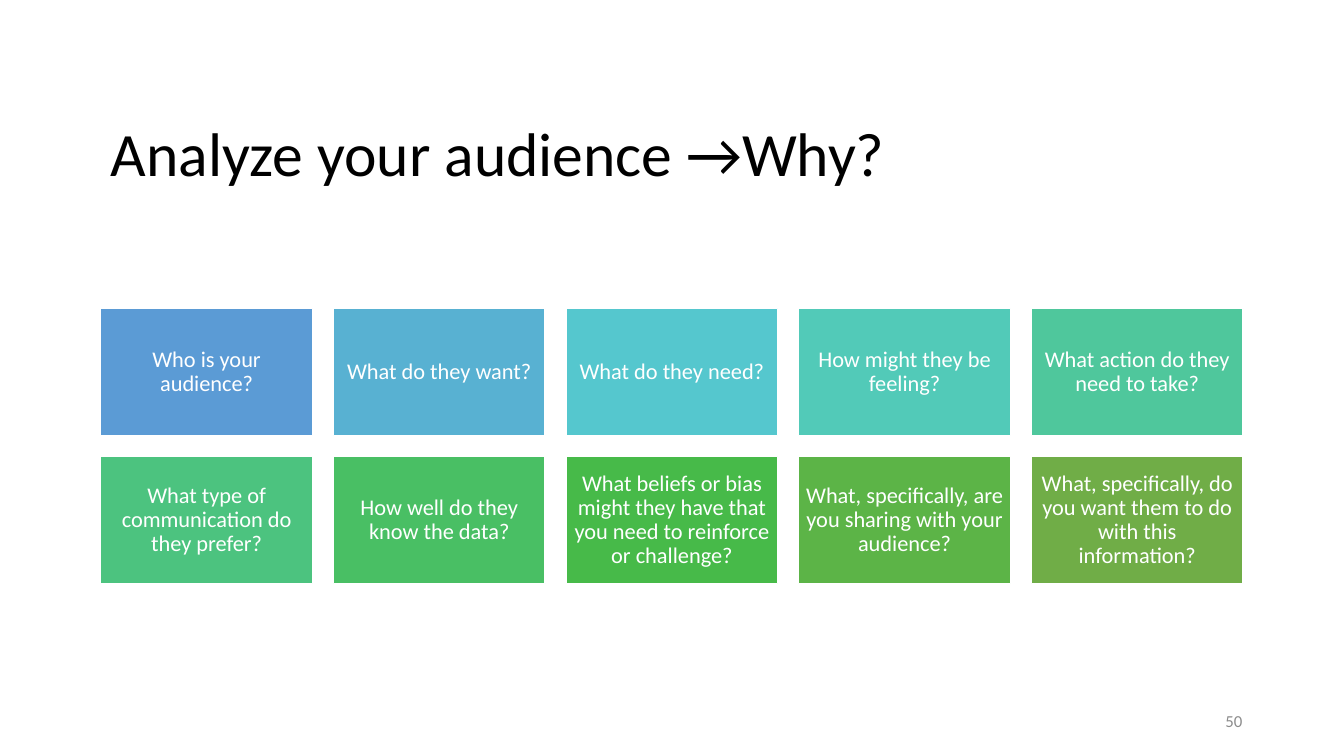
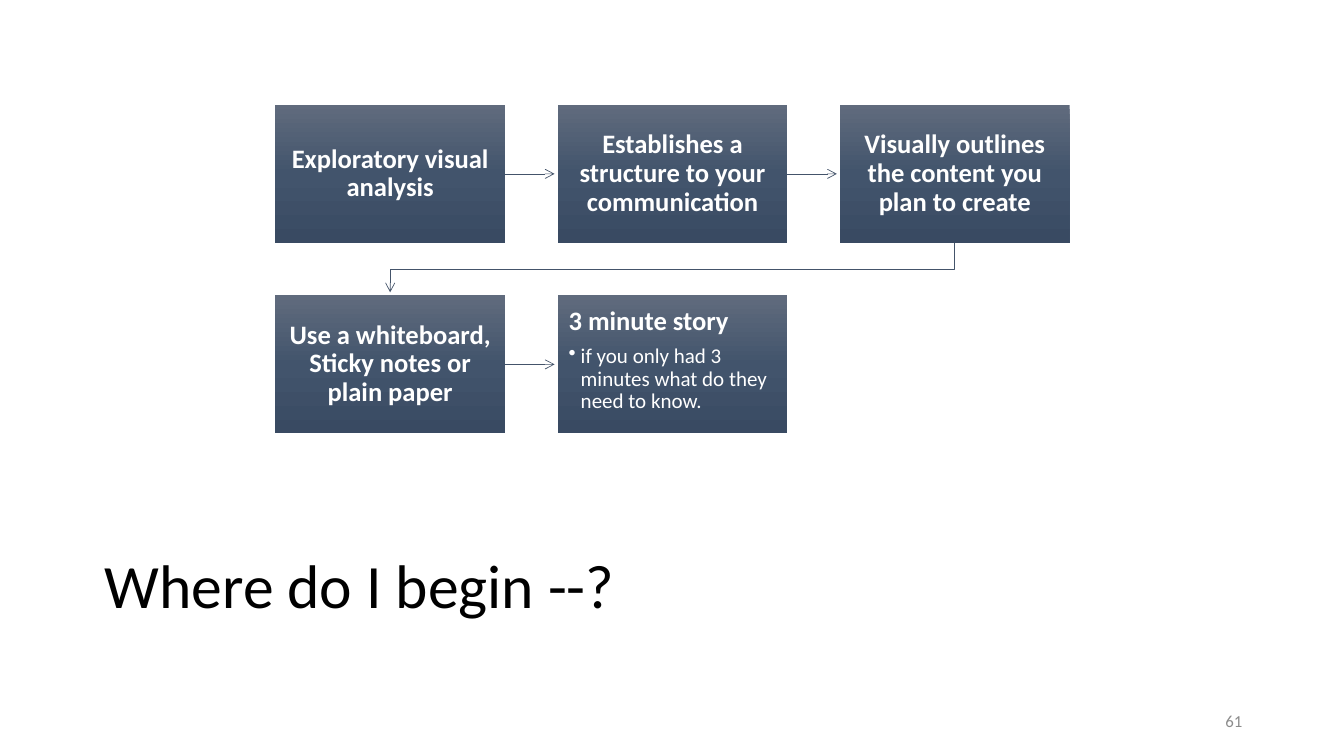
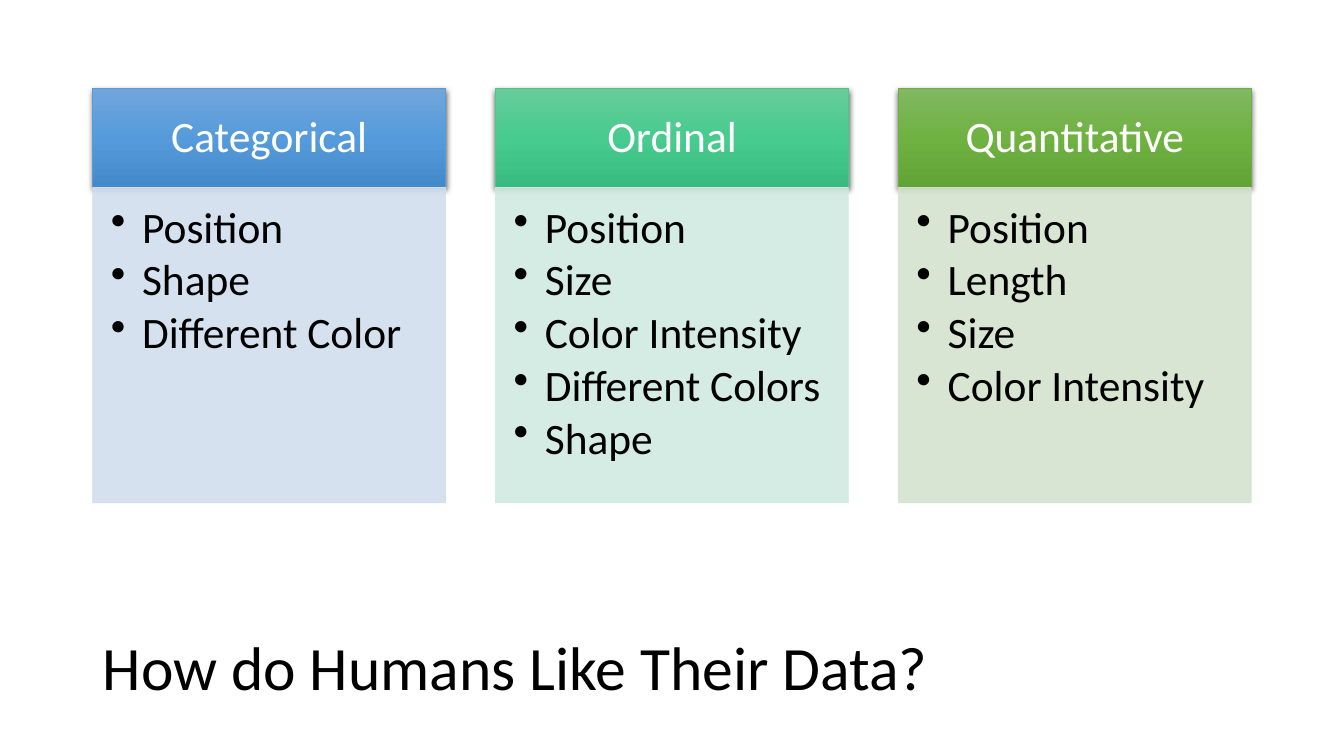
from lxml.etree import SubElement
from pptx import Presentation
from pptx.dml.color import RGBColor
from pptx.enum.shapes import MSO_CONNECTOR, MSO_SHAPE
from pptx.enum.text import MSO_ANCHOR as Anchor, PP_ALIGN as Align
from pptx.oxml.ns import qn
from pptx.util import Pt

SCALE = 9144  # EMU per px, 100 px to the inch
SLIDE_SIZE = (1333, 750)
FONT = "Calibri"
COLORS = {
    "black": "000000", "white": "FFFFFF", "number": "8C8C8C", "arrow": "44546A",
}

# Content: slide 1
AUDIENCE_TITLE = "Analyze your audience →Why?"
QUESTIONS = [
    ("Who is your audience?", "5B9BD5"),
    ("What do they want?", "58B1D2"),
    ("What do they need?", "55C7CE"),
    ("How might they be feeling?", "52CAB8"),
    ("What action do they need to take?", "4FC79C"),
    ("What type of communication do they prefer?", "4CC37F"),
    ("How well do they know the data?", "49BF64"),
    ("What beliefs or bias might they have that you need to reinforce or challenge?",
     "47BA49"),
    ("What, specifically, are you sharing with your audience?", "5CB447"),
    ("What, specifically, do you want them to do with this information?", "70AD47"),
]

# Content: slide 2
BEGIN_TITLE = "Where do I begin --?"
STEP_GRADIENT = ("606B7D", "42546C", "394A62")
STEPS = [
    ("Exploratory visual analysis", None),
    ("Establishes a structure to your communication", None),
    ("Visually outlines the content you plan to create", None),
    ("Use a whiteboard, Sticky notes or plain paper", None),
    ("3 minute story", "if you only had 3 minutes what do they need to know."),
]

# Content: slide 3
DATA_TITLE = "How do Humans Like Their Data?"
DATA_TYPES = [
    {"name": "Categorical", "gradient": ("71A6DB", "559BDB", "448ACA"),
     "line": "5B9BD5", "body": "D2DEEF",
     "items": ["Position", "Shape", "Different Color"]},
    {"name": "Ordinal", "gradient": ("67CC9A", "47CB8E", "39BB7F"),
     "line": "4DC58D", "body": "D0EAE1",
     "items": ["Position", "Size", "Color Intensity", "Different Colors", "Shape"]},
    {"name": "Quantitative", "gradient": ("81B861", "6FB242", "62A336"),
     "line": "70AD47", "body": "D5E3CF",
     "items": ["Position", "Length", "Size", "Color Intensity"]},
]


def px(value):
    return round(value * SCALE)


def rgb(color):
    return RGBColor.from_string(COLORS.get(color, color))


def add_text(shape, text, size, color="white", bold=False, align=Align.LEFT,
             line_spacing=0.9, space_after=0, bullet_indent=0):
    """Fill the first empty paragraph of the shape, or append one."""
    frame = shape.text_frame
    paragraph = frame.paragraphs[0] if not frame.text else frame.add_paragraph()
    if bullet_indent:
        properties = paragraph._p.get_or_add_pPr()
        properties.set("marL", str(px(bullet_indent)))
        properties.set("indent", str(-px(bullet_indent)))
        SubElement(properties, qn("a:buChar")).set("char", "•")
    paragraph.alignment = align
    paragraph.line_spacing = line_spacing
    paragraph.space_after = Pt(space_after)
    run = paragraph.add_run()
    run.text = text
    run.font.name = FONT
    run.font.size = Pt(size)
    run.font.bold = bold
    run.font.color.rgb = rgb(color)


def set_frame(shape, anchor=Anchor.MIDDLE, insets=(10, 5, 10, 5)):
    frame = shape.text_frame
    frame.word_wrap = True
    frame.vertical_anchor = anchor
    (frame.margin_left, frame.margin_top,
     frame.margin_right, frame.margin_bottom) = map(px, insets)


def add_text_box(slide, box, text, size, **text_format):
    shape = slide.shapes.add_textbox(*map(px, box))
    set_frame(shape)
    add_text(shape, text, size, **text_format)


def add_title(slide, box, text):
    add_text_box(slide, box, text, 44, color="black")


def add_slide_number(slide, number):
    add_text_box(slide, (942, 695, 300, 40), number, 12, color="number",
                 align=Align.RIGHT, line_spacing=1.0)


def add_box(slide, box, fill, line=None, line_width=0.5, **frame_format):
    """Add a rectangle; fill is one colour or a tuple of gradient colours."""
    shape = slide.shapes.add_shape(MSO_SHAPE.RECTANGLE, *map(px, box))
    shape.shadow.inherit = False
    if isinstance(fill, tuple):
        shape.fill.gradient()
        shape.fill.gradient_angle = 270
        stops = next(shape._element.spPr.iter(qn("a:gsLst")))
        stops.clear()
        for index, color in enumerate(fill):
            stop = SubElement(stops, qn("a:gs"))
            stop.set("pos", str(100000 * index // (len(fill) - 1)))
            SubElement(stop, qn("a:srgbClr")).set("val", color)
    else:
        shape.fill.solid()
        shape.fill.fore_color.rgb = rgb(fill)
    if line:
        shape.line.color.rgb = rgb(line)
        shape.line.width = Pt(line_width)
    else:
        shape.line.fill.background()
    set_frame(shape, **frame_format)
    return shape


def set_opacity(shape, percent):
    for color in shape._element.spPr.iter(qn("a:srgbClr")):
        SubElement(color, qn("a:alpha")).set("val", str(percent * 1000))


def add_drop_shadow(shape):
    effects = shape._element.spPr.find(qn("a:effectLst"))
    shadow = SubElement(effects, qn("a:outerShdw"))
    for name, value in (("blurRad", Pt(4.5)), ("dist", Pt(1.5)),
                        ("dir", 5400000), ("rotWithShape", 0)):
        shadow.set(name, str(int(value)))
    color = SubElement(shadow, qn("a:srgbClr"))
    color.set("val", COLORS["black"])
    SubElement(color, qn("a:alpha")).set("val", "63000")


def add_arrow(slide, points):
    """Two points give a straight connector, more give a bent open path."""
    points = [(px(x), px(y)) for x, y in points]
    if len(points) == 2:
        arrow = slide.shapes.add_connector(MSO_CONNECTOR.STRAIGHT, *points[0], *points[1])
    else:
        builder = slide.shapes.build_freeform(*points[0])
        builder.add_line_segments(points[1:], close=False)
        arrow = builder.convert_to_shape()
        arrow.fill.background()
    arrow.line.color.rgb = rgb("arrow")
    arrow.line.width = Pt(0.5)
    SubElement(arrow.line._get_or_add_ln(), qn("a:tailEnd")).set("type", "arrow")
    SubElement(arrow._element.spPr, qn("a:effectLst"))


def build_audience(slide):
    add_title(slide, (100, 68, 1133, 175), AUDIENCE_TITLE)
    columns, left, right, width, height = 5, 100, 1233, 210, 126
    pitch = (right - left - width) / (columns - 1)
    for index, (question, color) in enumerate(QUESTIONS):
        row, column = divmod(index, columns)
        box = (left + column * pitch, 306 + row * 147, width, height)
        shape = add_box(slide, box, color, "white", 1, insets=(7, 7, 7, 7))
        add_text(shape, question, 16, align=Align.CENTER)
    add_slide_number(slide, "50")


def build_begin(slide):
    add_title(slide, (94, 542, 1133, 83), BEGIN_TITLE)
    columns, width, height, gap = 3, 228, 137, 52
    reach = gap - 3  # arrows stop just short of the next box
    for index, (heading, detail) in enumerate(STEPS):
        row, column = divmod(index, columns)
        left, top = 273 + column * (width + gap), 104 + row * (height + gap)
        # Arrow to the next step
        if index < len(STEPS) - 1:
            right, middle = left + width, top + height / 2
            if column < columns - 1:
                add_arrow(slide, [(right, middle), (right + reach, middle)])
            else:
                start, end = left + width / 2, 273 + width / 2
                bottom = top + height
                turn = bottom + gap / 2
                add_arrow(slide, [(start, bottom), (start, turn),
                                  (end, turn), (end, bottom + reach)])
        # Step box
        shape = add_box(slide, (left, top, width, height), STEP_GRADIENT,
                        anchor=Anchor.TOP if detail else Anchor.MIDDLE,
                        insets=(11, 12, 11, 12))
        add_text(shape, heading, 19, bold=True,
                 align=Align.LEFT if detail else Align.CENTER,
                 space_after=6.6 if detail else 0)
        if detail:
            add_text(shape, detail, 15, bullet_indent=12)
    add_slide_number(slide, "61")


def build_data_types(slide):
    add_title(slide, (92, 605, 844, 120), DATA_TITLE)
    left, right, width, top, header_height = 92, 1241, 350, 88, 98
    pitch = (right - left - width) / (len(DATA_TYPES) - 1)
    for index, data_type in enumerate(DATA_TYPES):
        x = left + index * pitch
        header = add_box(slide, (x, top, width, header_height), data_type["gradient"],
                         data_type["line"], insets=(24, 14, 24, 14))
        add_drop_shadow(header)
        add_text(header, data_type["name"], 31, align=Align.CENTER)
        body = add_box(slide, (x, top + header_height, width, 313), data_type["body"],
                       data_type["body"], anchor=Anchor.TOP, insets=(18, 18, 24, 27))
        set_opacity(body, 90)
        for item in data_type["items"]:
            add_text(body, item, 31, color="black", space_after=4.2, bullet_indent=31)


def main():
    presentation = Presentation()
    presentation.slide_width, presentation.slide_height = map(px, SLIDE_SIZE)
    blank = presentation.slide_layouts[6]
    for build in (build_audience, build_begin, build_data_types):
        build(presentation.slides.add_slide(blank))
    presentation.save("out.pptx")


if __name__ == "__main__":
    main()
